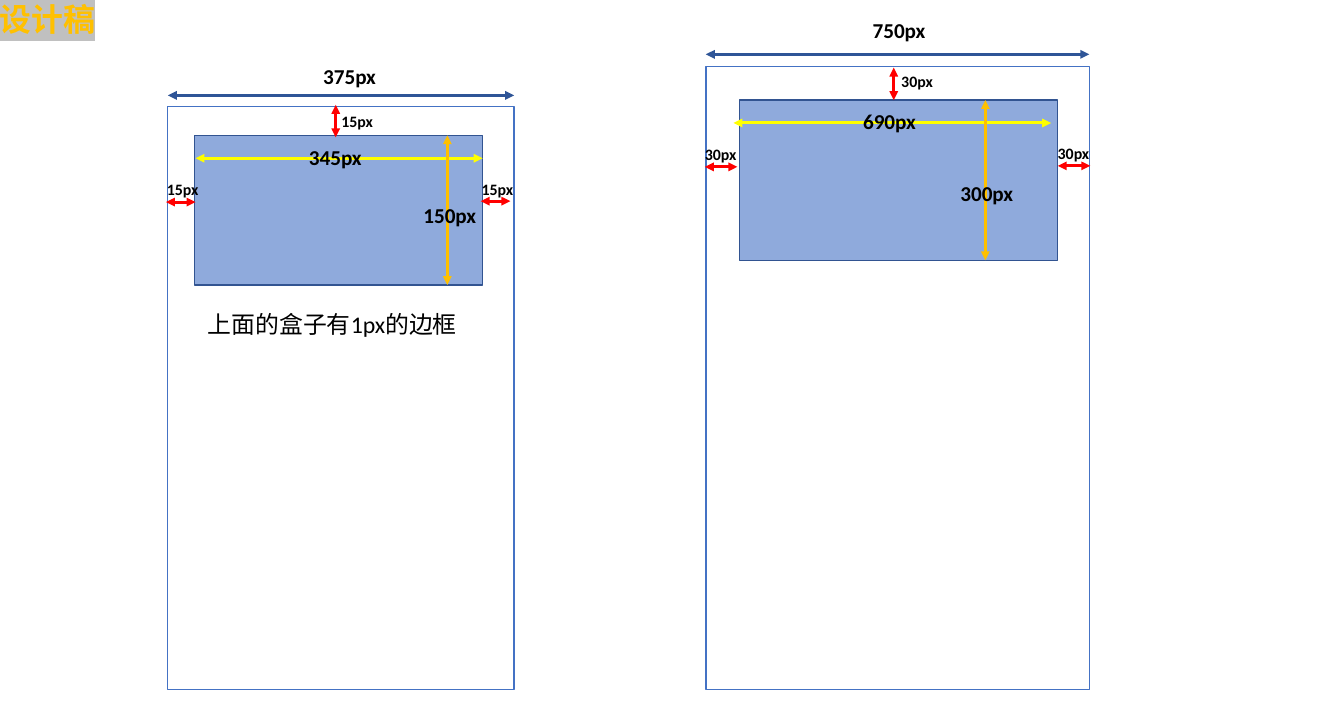
from pptx import Presentation
from pptx.dml.color import RGBColor as RGB
from pptx.enum.shapes import MSO_CONNECTOR as CONN, MSO_SHAPE as SHAPE
from pptx.enum.text import MSO_AUTO_SIZE as FIT
from pptx.oxml.ns import qn
from pptx.util import Inches, Pt
from lxml.etree import SubElement as Sub

THEME = dict(font="Calibri", title=24, note=18, large=16, small=12,
             ink="000000", accent="FFC000", highlight="C0C0C0",
             screen="4472C4", box="8FAADC", edge="325491",
             span="2F5597", inner="FFFF00", height="FFC000", gap="FF0000")
COLS, ROWS = 1409, 750

prs = Presentation()
prs.slide_width, prs.slide_height = Inches(14.09), Inches(7.5)
s = prs.slides.add_slide(prs.slide_layouts[6])


def grid(x, y, w, h):
    cw, rh = prs.slide_width / COLS, prs.slide_height / ROWS
    return [round(v) for v in (x * cw, y * rh, w * cw, h * rh)]


def add_text(text, cell, size, color="ink", bold=True):
    tf = s.shapes.add_textbox(*grid(*cell)).text_frame
    tf.word_wrap, tf.auto_size = True, FIT.SHAPE_TO_FIT_TEXT
    r = tf.paragraphs[0].add_run()
    r.text = text
    r.font.color.rgb = RGB.from_string(THEME[color])
    for name, value in dict(size=Pt(THEME[size]), bold=bold, name=THEME["font"]).items():
        setattr(r.font, name, value)
    return r


r = add_text("设计稿", (-10, -5, 433, 50), "title", "accent")
rPr = r.font._element
mark = Sub(rPr, qn("a:highlight"))
Sub(mark, qn("a:srgbClr"), val=THEME["highlight"])
rPr.find(qn("a:solidFill")).addnext(mark)

# screen, box, then marks: label, kind, arrow x, y, dx, dy, label x, y, w
mockups = [
    ((176, 112, 363, 611), (204, 142, 302, 157), [
        ("375px", "span", 176, 100, 363, 0, 329, 62, 77),
        ("345px", "inner", 205, 166, 301, 0, 314, 147, 92),
        ("150px", "height", 469, 142, 0, 157, 434, 207, 92),
        ("15px", "gap", 174, 212, 31, 0, 165, 184, 55),
        ("15px", "gap", 504, 211, 31, 0, 495, 184, 55),
        ("15px", "gap", 352, 110, 0, 34, 348, 112, 55)]),
    ((740, 70, 402, 653), (775, 105, 334, 168), [
        ("750px", "span", 740, 57, 402, 0, 905, 13, 85),
        ("690px", "inner", 769, 129, 333, 0, 895, 109, 102),
        ("300px", "height", 1033, 105, 0, 168, 997, 184, 102),
        ("30px", "gap", 739, 175, 34, 0, 729, 147, 61),
        ("30px", "gap", 1109, 174, 34, 0, 1099, 146, 61),
        ("30px", "gap", 937, 71, 0, 34, 935, 70, 61)]),
]

for screen, box, marks in mockups:
    for cell, fill, line in ((screen, None, "screen"), (box, "box", "edge")):
        sp = s.shapes.add_shape(SHAPE.RECTANGLE, *grid(*cell))
        sp.shadow.inherit = False
        sp.line.color.rgb, sp.line.width = RGB.from_string(THEME[line]), Pt(1)
        if fill:
            sp.fill.solid()
            sp.fill.fore_color.rgb = RGB.from_string(THEME[fill])
        else:
            sp.fill.background()
    for label, kind, x, y, dx, dy, tx, ty, tw in marks:
        left, top, w, h = grid(x, y, dx, dy)
        cx = s.shapes.add_connector(CONN.STRAIGHT, left, top, left + w, top + h)
        cx.line.color.rgb, cx.line.width = RGB.from_string(THEME[kind]), Pt(2.25)
        for end in ("a:headEnd", "a:tailEnd"):
            Sub(cx.line._get_or_add_ln(), qn(end), type="triangle")
        Sub(cx._element.spPr, qn("a:effectLst"))
        size, th = ("small", 30) if kind == "gap" else ("large", 37)
        add_text(label, (tx, ty, tw, th), size)

add_text("上面的盒子有1px的边框", (208, 320, 284, 40), "note", bold=False)

prs.save("out.pptx")
